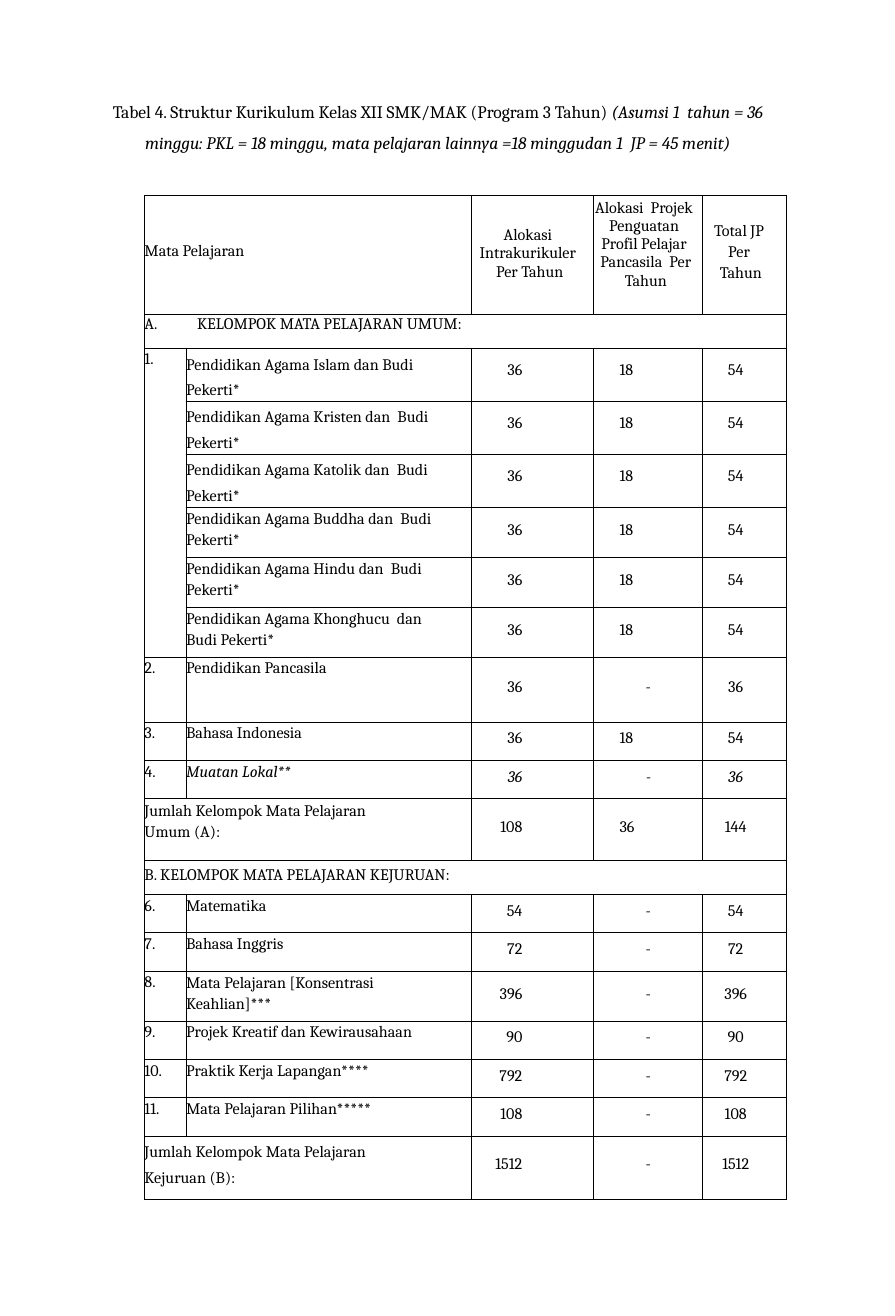
from pptx import Presentation
from pptx.dml.color import RGBColor
from pptx.enum.text import MSO_ANCHOR, MSO_AUTO_SIZE, PP_ALIGN
from pptx.oxml import parse_xml
from pptx.oxml.ns import nsdecls
from pptx.util import Pt

LEFT, CENTER, RIGHT = PP_ALIGN.LEFT, PP_ALIGN.CENTER, PP_ALIGN.RIGHT
TOP = MSO_ANCHOR.TOP
NO_AUTOFIT = MSO_AUTO_SIZE.NONE
BLACK = RGBColor(0, 0, 0)
FONT = "Cambria"


def style_runs(paragraph, size, italic=False):
    for run in paragraph.runs:
        run.font.name = FONT
        run.font.size = Pt(size)
        run.font.bold = False
        run.font.italic = italic
        run.font.color.rgb = BLACK


def fill_cell(cell, text, top, align=LEFT, left=0, right=0, spacing=1.0, italic=False):
    cell.text_frame.text = text
    cell.margin_left, cell.margin_right = Pt(left), Pt(right)
    cell.margin_top, cell.margin_bottom = Pt(top), Pt(0)
    paragraph = cell.text_frame.paragraphs[0]
    paragraph.alignment = align
    paragraph.line_spacing = spacing
    style_runs(paragraph, 11, italic)


prs = Presentation()
prs.slide_width, prs.slide_height = Pt(612), Pt(900)
slide = prs.slides.add_slide(prs.slide_layouts[5])

# Title
title = slide.shapes.title
title.left, title.top, title.width, title.height = Pt(65.5), Pt(62), Pt(468), Pt(65.5)
caption = title.text_frame
caption.auto_size = NO_AUTOFIT
caption.word_wrap = True
caption.vertical_anchor = TOP
caption.margin_left = caption.margin_right = caption.margin_bottom = Pt(0)
caption.margin_top = Pt(0.7)
caption.text = "Tabel 4. Struktur Kurikulum Kelas XII SMK/MAK (Program 3 Tahun) "
caption_line = caption.paragraphs[0]
caption_line.alignment = CENTER
caption_line.line_spacing = 1.46
assumption = caption_line.add_run()
assumption.text = ("(Asumsi 1  tahun = 36 minggu: PKL = 18 minggu, "
                   "mata pelajaran lainnya =18 minggudan 1  JP = 45 menit)")
style_runs(caption_line, 12)
assumption.font.italic = True

# Row kinds: height, top of the values, line spacing of the subject
LOOSE = (36.25, 9, 1.35)
TIGHT = (34.2, 9.2, 1.13)
SINGLE = (26.2, 5, 1.0)
TALL = (44.4, 14, 1.0)
SUM_A = (42.4, 13, 1.13)
SUM_B = (43.1, 13, 1.36)
SECTION_HEIGHT, HEADER_HEIGHT = 23.2, 81.4

# Subjects: kind, number, name, intracurricular, project, total
# A row with a single entry is a section heading
subjects = [
    ("A.\tKELOMPOK MATA PELAJARAN UMUM:",),
    (LOOSE, "1.", "Pendidikan Agama Islam dan Budi  Pekerti*", "36", "18", "54"),
    (LOOSE, "", "Pendidikan Agama Kristen dan  Budi Pekerti*", "36", "18", "54"),
    (LOOSE, "", "Pendidikan Agama Katolik dan  Budi Pekerti*", "36", "18", "54"),
    (TIGHT, "", "Pendidikan Agama Buddha dan  Budi Pekerti*", "36", "18", "54"),
    (TIGHT, "", "Pendidikan Agama Hindu dan  Budi Pekerti*", "36", "18", "54"),
    (TIGHT, "", "Pendidikan Agama Khonghucu  dan Budi Pekerti*", "36", "18", "54"),
    (TALL, "2.", "Pendidikan Pancasila", "36", "-", "36"),
    (SINGLE, "3.", "Bahasa Indonesia", "36", "18", "54"),
    (SINGLE, "4.", "Muatan Lokal**", "36", "-", "36"),
    (SUM_A, "", "Jumlah Kelompok Mata Pelajaran  Umum (A):", "108", "36", "144"),
    ("B. KELOMPOK MATA PELAJARAN KEJURUAN:",),
    (SINGLE, "6.", "Matematika", "54", "-", "54"),
    (SINGLE, "7.", "Bahasa Inggris", "72", "-", "72"),
    (TIGHT, "8.", "Mata Pelajaran [Konsentrasi  Keahlian]***", "396", "-", "396"),
    (SINGLE, "9.", "Projek Kreatif dan Kewirausahaan", "90", "-", "90"),
    (SINGLE, "10.", "Praktik Kerja Lapangan****", "792", "-", "792"),
    (SINGLE, "11.", "Mata Pelajaran Pilihan*****", "108", "-", "108"),
    (SUM_B, "", "Jumlah Kelompok Mata Pelajaran  Kejuruan (B):", "1512", "-", "1512"),
]

# Table grid
column_widths = [28.5, 195, 83.4, 75, 56.9]
heights = [HEADER_HEIGHT] + [
    SECTION_HEIGHT if len(subject) == 1 else subject[0][0] for subject in subjects]
curriculum = slide.shapes.add_table(
    len(heights), len(column_widths), Pt(98.8), Pt(133.6),
    Pt(sum(column_widths)), Pt(sum(heights))).table
curriculum.first_row = False
curriculum.horz_banding = False
for column, width in zip(curriculum.columns, column_widths):
    column.width = Pt(width)
for row, height in zip(curriculum.rows, heights):
    row.height = Pt(height)

# Black borders, no fill
for cell in curriculum.iter_cells():
    cell_properties = cell._tc.get_or_add_tcPr()
    for side in ("lnL", "lnR", "lnT", "lnB"):
        cell_properties.append(parse_xml(
            f'<a:{side} {nsdecls("a")} w="{Pt(0.75)}"><a:solidFill>'
            f'<a:srgbClr val="{BLACK}"/></a:solidFill></a:{side}>'))
    cell.fill.background()

# Header
curriculum.cell(0, 0).merge(curriculum.cell(0, 1))
fill_cell(curriculum.cell(0, 0), "Mata Pelajaran", 32)
headings = [
    ("Alokasi  Intrakurikuler  Per Tahun", 21, 1.5, 5, 0.98),
    ("Alokasi  Projek  Penguatan  Profil Pelajar  Pancasila  Per Tahun", 2.2, 1, 4, 0.98),
    ("Total JP  Per  Tahun", 17, 5, 10, 1.12),
]
for col, (heading, top, left, right, spacing) in enumerate(headings, start=2):
    fill_cell(curriculum.cell(0, col), heading, top, CENTER, left, right, spacing)

# The religion subjects share one number
curriculum.cell(2, 0).merge(curriculum.cell(7, 0))

# Sections, subjects and sums
for row, subject in enumerate(subjects, start=1):
    number_cell, name_cell, intra_cell, project_cell, total_cell = curriculum.rows[row].cells
    if len(subject) == 1:
        number_cell.merge(total_cell)
        fill_cell(number_cell, subject[0], 0.7 if row == 1 else 3.6)
        continue
    kind, number, name, intra, project, total = subject
    height, value_top, spacing = kind
    italic = name.startswith("Muatan")
    if kind in (SUM_A, SUM_B):
        number_cell.merge(name_cell)
        fill_cell(number_cell, name, 0.5, right=58, spacing=spacing)
    else:
        if number:
            fill_cell(number_cell, number, 1.5)
        fill_cell(name_cell, name, 1.5 if spacing == 1.0 else 0.5,
                  right=24, spacing=spacing, italic=italic)
    fill_cell(intra_cell, intra, value_top, RIGHT, right=48.5, italic=italic)
    if project == "-":
        fill_cell(project_cell, project, value_top, RIGHT, right=35.5, italic=italic)
    else:
        fill_cell(project_cell, project, value_top, left=18)
    fill_cell(total_cell, total, value_top, CENTER, right=12, italic=italic)

prs.save("out.pptx")
